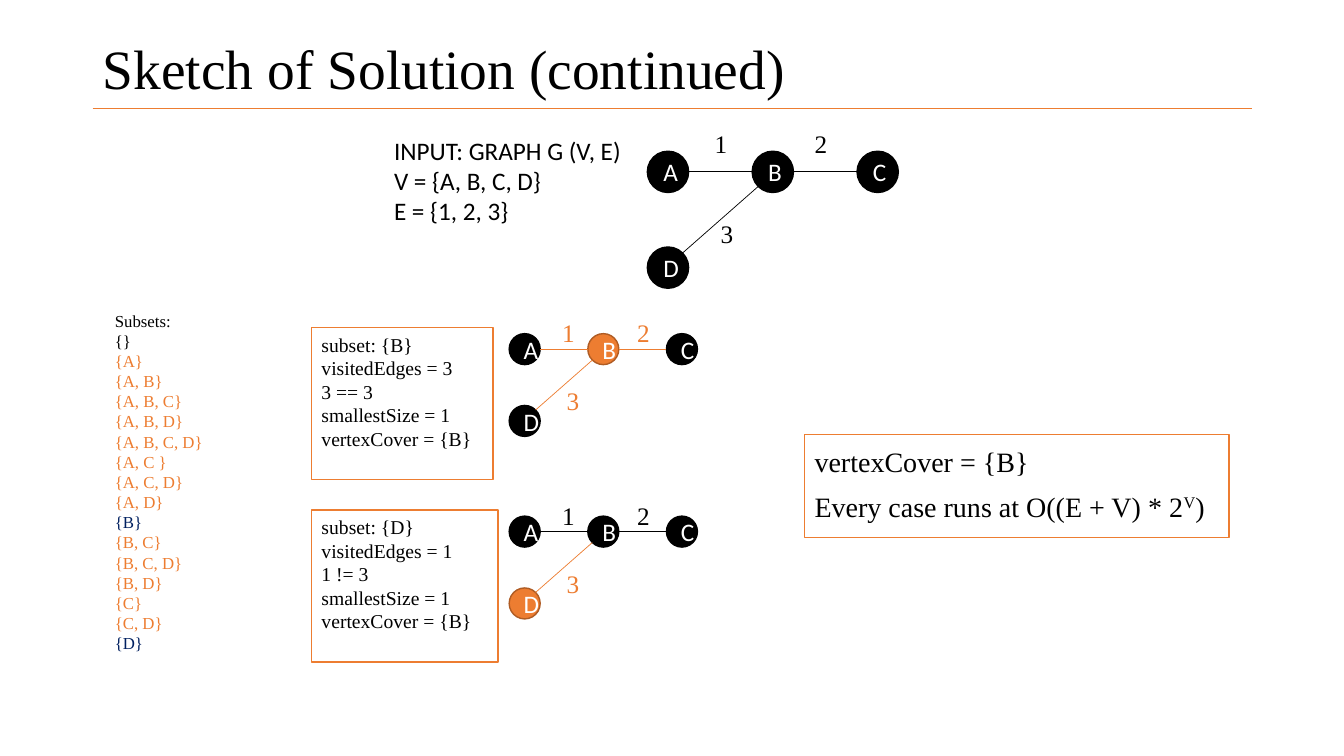
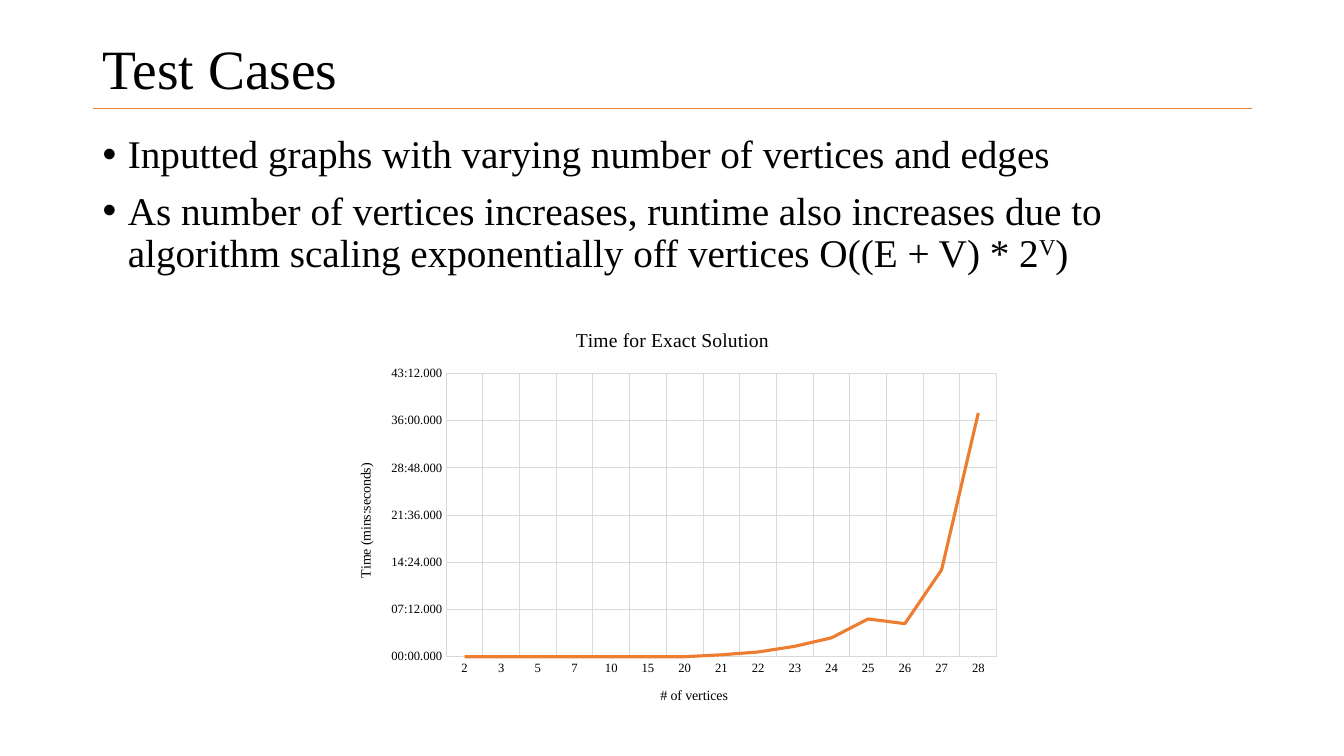
"""Build two slides on an exact vertex cover solution and its test cases."""
from dataclasses import dataclass, replace

from lxml.etree import SubElement
from pptx import Presentation
from pptx.chart.data import CategoryChartData
from pptx.dml.color import RGBColor
from pptx.enum.chart import XL_CHART_TYPE as ChartType, XL_TICK_MARK as TickMark
from pptx.enum.shapes import MSO_CONNECTOR as Connector, MSO_SHAPE as Preset
from pptx.enum.text import MSO_ANCHOR as Anchor, MSO_AUTO_SIZE as AutoSize, PP_ALIGN as Align
from pptx.oxml.ns import qn
from pptx.util import Inches, Pt


@dataclass(frozen=True)
class TextStyle:
    """How a block of text is set."""
    size: float
    font: str = "Times New Roman"
    colour: str = "000000"
    align: Align = Align.LEFT
    spacing: float = 1.0
    before: float = 0


@dataclass(frozen=True)
class Theme:
    """Colours and type styles of the presentation."""
    black: str = "000000"
    white: str = "FFFFFF"
    accent: str = "ED7D31"
    accent_edge: str = "AF5C24"
    visited: str = "002060"
    grid: str = "D9D9D9"
    title: TextStyle = TextStyle(39.6, spacing=0.9)
    bullets: TextStyle = TextStyle(28, spacing=0.9, before=10)
    result: TextStyle = TextStyle(20, spacing=0.9, before=10)
    step: TextStyle = TextStyle(14)
    subsets: TextStyle = TextStyle(12)
    graph_input: TextStyle = TextStyle(18, "Calibri")
    node: TextStyle = TextStyle(18, "Calibri", "FFFFFF", Align.CENTER)
    edge: TextStyle = TextStyle(18)
    chart_title: TextStyle = TextStyle(14)
    axis_title: TextStyle = TextStyle(10)
    axis: TextStyle = TextStyle(9)


THEME = Theme()
NODES = {"A": (0, 0), "D": (0, 0.95), "B": (1.04, 0), "C": (2.08, 0)}
NODE_SIZE = 0.41
SMALL_GRAPH = 0.75
EDGES = {"1": ("A", "B"), "2": ("B", "C"), "3": ("D", "B")}
EDGE_LABELS = {"1": (0.57, -0.28), "2": (1.56, -0.28), "3": (0.63, 0.62)}
SUBSETS = [
    "{A}", "{A, B} ", "{A, B, C}", "{A, B, D}", "{A, B, C, D}", "{A, C }",
    "{A, C, D}", "{A, D}", "{B}", "{B, C}", "{B, C, D}", "{B, D}", "{C}",
    "{C, D}", "{D}",
]
VERTICES = [2, 3, 5, 7, 10, 15, *range(20, 29)]
RUN_TIMES = [0, 0, 0, 0, 0, 0, 0, 0.0002, 0.0005, 0.0011, 0.002, 0.004,
             0.0035, 0.0092, 0.0258]


def rgb(colour):
    """Turn a hex string into a colour."""
    return RGBColor.from_string(colour)


def with_complexity(text):
    """Return runs that end a sentence with the running time."""
    return [f"{text} O((E + V) * 2", "^V", ")"]


def style_font(font, style):
    """Apply typeface, size and colour to a font."""
    font.name, font.size, font.bold = style.font, Pt(style.size), False
    font.color.rgb = rgb(style.colour)


def add_run(paragraph, text, style):
    """Add one run; a leading caret raises it."""
    run = paragraph.add_run()
    run.text = text.removeprefix("^")
    style_font(run.font, style)
    if text.startswith("^"):
        run.font._element.set("baseline", "30000")


def write(frame, paragraphs, style, anchor=Anchor.TOP):
    """Fill a frame with paragraphs, each a list of runs with one style."""
    frame.word_wrap, frame.vertical_anchor = True, anchor
    for index, runs in enumerate(paragraphs):
        paragraph = frame.add_paragraph() if index else frame.paragraphs[0]
        paragraph.alignment = style.align
        paragraph.line_spacing = style.spacing
        paragraph.space_before = Pt(style.before)
        for text in runs:
            add_run(paragraph, text, style)


def add_text(shapes, box, paragraphs, style):
    """Add a wrapped text box."""
    frame = shapes.add_textbox(*map(Inches, box)).text_frame
    write(frame, paragraphs, style)
    return frame


def add_panel(shapes, preset, box, fill, edge, paragraphs, style, anchor):
    """Add a filled and outlined shape with text."""
    panel = shapes.add_shape(preset, *map(Inches, box))
    panel.shadow.inherit = False
    panel.fill.solid()
    panel.fill.fore_color.rgb = rgb(fill)
    panel.line.color.rgb = rgb(edge)
    panel.line.width = Pt(1)
    write(panel.text_frame, paragraphs, style, anchor)


def add_line(shapes, start, end, colour):
    """Add a thin straight line without a shadow."""
    line = shapes.add_connector(Connector.STRAIGHT, *map(Inches, (*start, *end)))
    line.line.color.rgb = rgb(colour)
    line.line.width = Pt(0.5)
    SubElement(line._element.spPr, qn("a:effectLst"))


def add_titled_slide(deck, heading):
    """Add a slide with the shared title and the rule below it."""
    slide = deck.slides.add_slide(deck.slide_layouts[5])
    title = slide.shapes.title
    title.left, title.top, title.width, title.height = map(Inches, (0.92, 0.38, 11.5, 0.66))
    title.text_frame.auto_size = AutoSize.NONE
    write(title.text_frame, [[heading]], THEME.title, Anchor.MIDDLE)
    add_line(slide.shapes, (0.92, 1.08), (12.42, 1.08), THEME.accent)
    return slide


def add_graph(slide, left, top, scale=1.0, chosen="", covered=""):
    """Draw the sample graph with its chosen vertex and covered edges."""
    shapes = slide.shapes.add_group_shape().shapes
    size = NODE_SIZE * scale
    centres = {}
    for name, (x, y) in NODES.items():
        x, y = left + x * scale, top + y * scale
        centres[name] = x + size / 2, y + size / 2
        fill, edge = ((THEME.accent, THEME.accent_edge) if name == chosen
                      else (THEME.black, THEME.black))
        add_panel(shapes, Preset.OVAL, (x, y, size, size), fill, edge,
                  [[name]], THEME.node, Anchor.MIDDLE)
    for name, (tail, head) in EDGES.items():
        colour = THEME.accent if name in covered else THEME.black
        (x1, y1), (x2, y2) = centres[tail], centres[head]
        level = y1 == y2
        dx = size / 2 * (1 if level else 0.71)
        dy = 0 if level else dx
        add_line(shapes, (x1 + dx, y1 - dy), (x2 - dx, y2 + dy), colour)
        x, y = EDGE_LABELS[name]
        add_text(shapes, (left + x * scale, top + y * scale, 0.41 * scale, 0.57 * scale),
                 [[name]], replace(THEME.edge, colour=colour))


def add_step(slide, top, width, vertex, edges, comparison):
    """Show one subset check beside its graph."""
    lines = [f"subset: {{{vertex}}}", f"visitedEdges = {len(edges)}", comparison,
             "smallestSize = 1", "vertexCover = {B}"]
    add_panel(slide.shapes, Preset.RECTANGLE, (3.09, top, width, 1.51), THEME.white,
              THEME.accent, [[line] for line in lines], THEME.step, Anchor.TOP)
    add_graph(slide, 5.05, top + 0.06, SMALL_GRAPH, vertex, edges)


def add_subsets(slide):
    """List all subsets, with the two checked ones set apart."""
    frame = add_text(slide.shapes, (1.04, 3.03, 1.52, 3.74),
                     [["Subsets:"], ["{}"], *([subset] for subset in SUBSETS)],
                     THEME.subsets)
    for subset, paragraph in zip(SUBSETS, frame.paragraphs[2:]):
        colour = THEME.visited if subset in ("{B}", "{D}") else THEME.accent
        paragraph.runs[0].font.color.rgb = rgb(colour)


def add_bullets(slide, box, paragraphs):
    """Add a bulleted list with hanging indents."""
    frame = add_text(slide.shapes, box, paragraphs, THEME.bullets)
    for paragraph in frame.paragraphs:
        properties = paragraph._p.get_or_add_pPr()
        properties.set("marL", str(Inches(0.25)))
        properties.set("indent", str(-Inches(0.25)))
        SubElement(properties, qn("a:buFont"), typeface="Arial")
        SubElement(properties, qn("a:buChar"), char="•")


def style_axis(axis, caption):
    """Set an axis's caption, labels and gridlines."""
    write(axis.axis_title.text_frame, [[caption]], THEME.axis_title)
    style_font(axis.tick_labels.font, THEME.axis)
    axis.major_tick_mark = axis.minor_tick_mark = TickMark.NONE
    axis.has_major_gridlines = True
    for line in (axis.major_gridlines.format.line, axis.format.line):
        line.color.rgb = rgb(THEME.grid)
        line.width = Pt(0.75)


def place_plot(chart, **fractions):
    """Fix the inner plot area as fractions of the chart."""
    plot_area = chart._chartSpace.chart.plotArea
    for old in plot_area.findall(qn("c:layout")):
        plot_area.remove(old)
    layout = SubElement(plot_area, qn("c:layout"))
    plot_area.insert(0, layout)
    manual = SubElement(layout, qn("c:manualLayout"))
    settings = {"layoutTarget": "inner", "xMode": "edge", "yMode": "edge", **fractions}
    for tag, value in settings.items():
        SubElement(manual, qn(f"c:{tag}"), val=str(value))


def add_time_chart(slide):
    """Plot the run time against the number of vertices."""
    times = CategoryChartData(number_format="mm:ss.000")
    times.categories = [str(count) for count in VERTICES]
    times.add_series("Series 1", RUN_TIMES)
    box = map(Inches, (3.32, 3.08, 6.7, 4.11))
    chart = slide.shapes.add_chart(ChartType.LINE, *box, times).chart
    style_font(chart.font, THEME.axis_title)
    chart.has_legend = False
    write(chart.chart_title.text_frame, [["Time for Exact Solution"]], THEME.chart_title)
    style_axis(chart.category_axis, "# of vertices")
    time_axis = chart.value_axis
    style_axis(time_axis, "Time (mins:seconds)")
    time_axis.format.line.fill.background()
    time_axis.minimum_scale, time_axis.maximum_scale = 0, 0.03
    time_axis.major_unit = 0.005
    time_axis.tick_labels.number_format = "mm:ss.000"
    time_axis.tick_labels.number_format_is_linked = False
    plot = chart.plots[0]
    plot.vary_by_categories = False
    curve = plot.series[0]
    curve.smooth = False
    curve.format.line.color.rgb = rgb(THEME.accent)
    curve.format.line.width = Pt(2.25)
    place_plot(chart, x=0.165, y=0.152, w=0.815, h=0.684)


def build_solution(deck):
    """Build the slide that walks through the subsets."""
    slide = add_titled_slide(deck, "Sketch of Solution (continued)")
    add_subsets(slide)
    add_step(slide, 3.25, 1.8, "B", "123", "3 == 3")
    add_step(slide, 5.06, 1.85, "D", "3", "1 != 3")
    add_panel(slide.shapes, Preset.RECTANGLE, (7.98, 4.31, 4.21, 1.02), THEME.white,
              THEME.accent, [["vertexCover = {B}"], with_complexity("Every case runs at")],
              THEME.result, Anchor.MIDDLE)
    add_text(slide.shapes, (3.81, 1.29, 4, 1.01),
             [["INPUT: GRAPH G (V, E)"], ["V = {A, B, C, D}"], ["E = {1, 2, 3}"]],
             THEME.graph_input)
    add_graph(slide, 6.42, 1.5)


def build_test_cases(deck):
    """Build the slide with the measured run times."""
    slide = add_titled_slide(deck, "Test Cases")
    add_bullets(slide, (0.92, 1.29, 11.5, 5.46), [
        ["Inputted graphs with varying number of vertices and edges"],
        with_complexity("As number of vertices increases, runtime also increases due to "
                        "algorithm scaling exponentially off vertices"),
    ])
    add_time_chart(slide)


def main():
    """Build and save the presentation."""
    deck = Presentation()
    deck.slide_width, deck.slide_height = Inches(13.33), Inches(7.5)
    build_solution(deck)
    build_test_cases(deck)
    deck.save("out.pptx")


if __name__ == "__main__":
    main()
